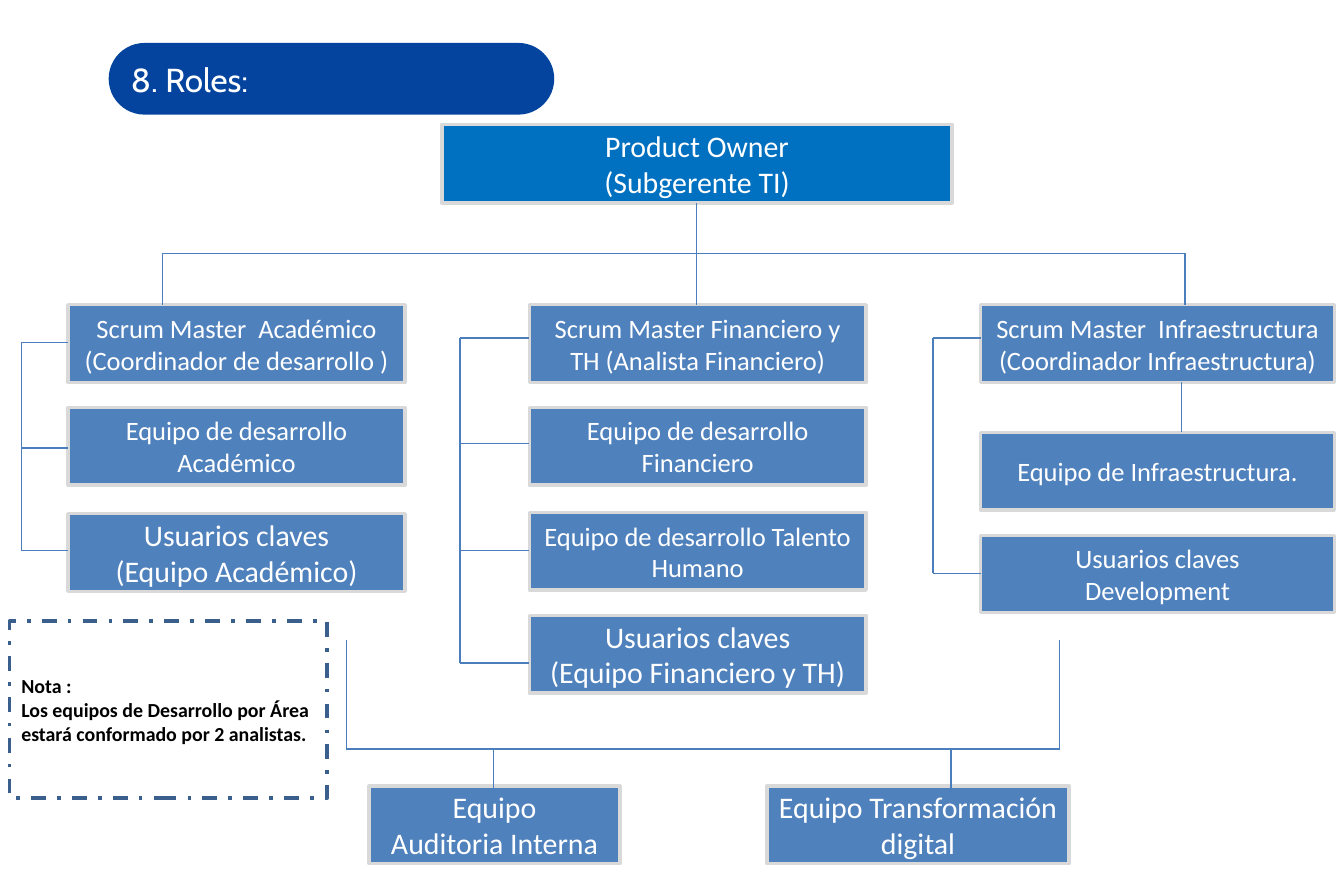
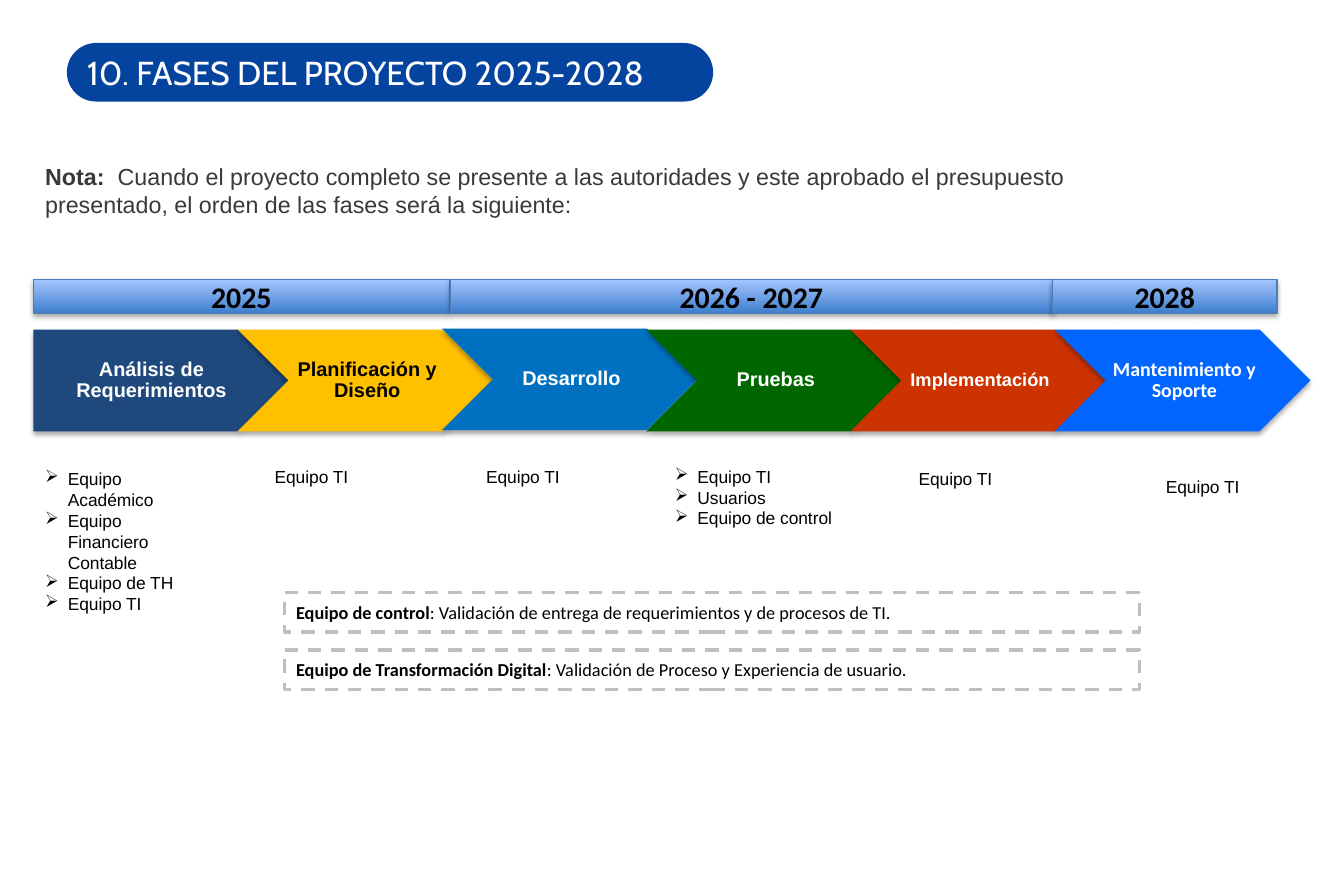
import pptx
import pptx.util
import pptx.dml.color
import pptx.enum.dml
import pptx.enum.shapes
import pptx.enum.text
import pptx.oxml
import pptx.oxml.ns

PX = 9144  # 100 px to the inch
COLORS = {
    "title": "04449E", "owner": "0070C0", "role": "4F81BD", "border": "D9D9D9",
    "link": "4B7EBC", "note": "3A5F8C", "dash": "BFBFBF", "white": "FFFFFF",
    "black": "000000", "gray": "3A3838", "year_low": "3F80CE", "year_high": "A4C4FF",
    "analysis": "1F497D", "planning": "FFC000", "build": "0070C0",
    "testing": "006600", "rollout": "CC3300", "support": "0066FF",
}
SHAPE = pptx.enum.shapes.MSO_SHAPE
ALIGN = pptx.enum.text.PP_ALIGN
DASH = pptx.enum.dml.MSO_LINE
qn = pptx.oxml.ns.qn
SHADOW = (
    '<a:outerShdw xmlns:a="http://schemas.openxmlformats.org/drawingml/2006/main" '
    'blurRad="40000" dist="23000" dir="{angle}" rotWithShape="0">'
    '<a:srgbClr val="000000"><a:alpha val="{alpha}"/></a:srgbClr></a:outerShdw>'
)

# Formats shared by the slides
TITLE = {"kind": SHAPE.ROUNDED_RECTANGLE, "fill": "title", "size": 20, "font": "Cabin",
         "color": "white", "text_shadow": True}
ROLE = {"kind": SHAPE.RECTANGLE, "fill": "role", "line": ("border", 2, None),
        "color": "white", "align": ALIGN.CENTER}
PLAIN = {"font": "Arial", "color": "black", "size": 10.5}
YEAR = {"kind": SHAPE.RECTANGLE, "gradient": ("year_low", "year_high"), "shadow": True,
        "line": ("link", 0.75, None), "size": 18, "bold": True, "align": ALIGN.CENTER}
PHASE = {"shadow": True, "font": "Arial", "size": 12, "bold": True, "color": "white",
         "align": ALIGN.CENTER, "spacing": 0.9, "insets": (5, 4, 2, 4)}
TEAM_NOTE = {"kind": SHAPE.RECTANGLE, "line": ("dash", 2, DASH.DASH), "size": 11}


def add_box(page, place, paras, form):
    """Adds a shape or text box; a tuple paragraph has a bold first part."""
    left, top, width, height = [n * PX for n in place]
    kind = form.get("kind")
    if kind is None:
        box = page.shapes.add_textbox(left, top, width, height)
    else:
        box = page.shapes.add_shape(kind, left, top, width, height)
        box.shadow.inherit = False
        if kind == SHAPE.ROUNDED_RECTANGLE:
            box.adjustments[0] = 0.5
        if "gradient" in form:
            box.fill.gradient()
            box.fill.gradient_angle = 90
            for stop, name in zip(box.fill.gradient_stops, form["gradient"]):
                stop.color.rgb = pptx.dml.color.RGBColor.from_string(COLORS[name])
        elif "fill" in form:
            box.fill.solid()
            box.fill.fore_color.rgb = pptx.dml.color.RGBColor.from_string(COLORS[form["fill"]])
        else:
            box.fill.background()
        if "line" in form:
            name, weight, dash = form["line"]
            box.line.color.rgb = pptx.dml.color.RGBColor.from_string(COLORS[name])
            box.line.width = pptx.util.Pt(weight)
            box.line.dash_style = dash
        else:
            box.line.fill.background()
        if form.get("shadow"):
            effects = box._element.spPr.find(qn("a:effectLst"))
            effects.append(pptx.oxml.parse_xml(SHADOW.format(angle=5400000, alpha=35000)))

    frame = box.text_frame
    anchor = pptx.enum.text.MSO_ANCHOR
    frame_values = {"word_wrap": True,
                    "vertical_anchor": anchor.MIDDLE if kind else anchor.TOP}
    for side, inset in zip(("left", "top", "right", "bottom"),
                           form.get("insets", (10, 5, 10, 5))):
        frame_values["margin_" + side] = inset * PX
    for name, value in frame_values.items():
        setattr(frame, name, value)

    font_values = {"name": form.get("font", "Calibri"),
                   "size": pptx.util.Pt(form["size"]), "bold": form.get("bold", False)}
    for index, parts in enumerate(paras):
        para = frame.paragraphs[0] if index == 0 else frame.add_paragraph()
        para.alignment = form.get("align", ALIGN.LEFT)
        para.line_spacing = form.get("spacing")
        if form.get("bullet"):
            properties = para._p.get_or_add_pPr()
            properties.set("marL", str(19 * PX))
            properties.set("indent", str(-19 * PX))
            bullet = properties.makeelement(qn("a:buChar"), {"char": "➢"})
            properties.append(bullet)
        mixed = isinstance(parts, tuple)
        for order, words in enumerate(parts if mixed else (parts,)):
            span = para.add_run()
            span.text = words
            for name, value in font_values.items():
                setattr(span.font, name, value)
            if mixed:
                span.font.bold = order == 0
            span.font.color.rgb = pptx.dml.color.RGBColor.from_string(
                COLORS[form.get("color", "black")])
            if form.get("text_shadow"):
                run_properties = span.font._element
                effects = run_properties.makeelement(qn("a:effectLst"), {})
                effects.append(pptx.oxml.parse_xml(SHADOW.format(angle=2700000, alpha=80000)))
                run_properties.find(qn("a:solidFill")).addnext(effects)


def add_link(page, x1, y1, x2, y2):
    """Adds a thin chart line without a shadow."""
    link = page.shapes.add_connector(pptx.enum.shapes.MSO_CONNECTOR.STRAIGHT,
                                     x1 * PX, y1 * PX, x2 * PX, y2 * PX)
    link.line.color.rgb = pptx.dml.color.RGBColor.from_string(COLORS["link"])
    link.line.width = pptx.util.Pt(0.75)
    properties = link._element.spPr
    properties.append(properties.makeelement(qn("a:effectLst"), {}))


deck = pptx.Presentation()
deck.slide_width = 1125 * PX
deck.slide_height = 750 * PX
blank = deck.slide_layouts[6]

# Roles: title and product owner
page = deck.slides.add_slide(blank)
add_box(page, (91, 36, 373, 60), ["8. Roles:"], TITLE)
add_box(page, (370, 104, 427, 66), ["Product Owner", "(Subgerente TI)"],
        ROLE | {"fill": "owner", "size": 18})

# Roles: three columns of teams, each as top, text size, paragraphs
columns = [
    (57, 282, [
        (255, 16, ["Scrum Master  Académico (Coordinador de desarrollo )"]),
        (341, 16, ["Equipo de desarrollo Académico"]),
        (430, 18, ["Usuarios claves", "(Equipo Académico)"]),
    ]),
    (443, 282, [
        (255, 16, ["Scrum Master Financiero y TH (Analista Financiero)"]),
        (341, 16, ["Equipo de desarrollo Financiero"]),
        (429, 16, ["Equipo de desarrollo Talento Humano"]),
        (515, 18, ["Usuarios claves", "(Equipo Financiero y TH)"]),
    ]),
    (821, 296, [
        (255, 16, ["Scrum Master  Infraestructura (Coordinador Infraestructura)"]),
        (362, 16, ["Equipo de Infraestructura."]),
        (448, 16, ["Usuarios claves", "Development"]),
    ]),
    (309, 210, [(658, 18, ["Equipo", "Auditoria Interna"])]),
    (642, 253, [(658, 18, ["Equipo Transformación digital"])]),
]
for left, width, teams in columns:
    for top, size, paras in teams:
        add_box(page, (left, top, width, 65), paras, ROLE | {"size": size})

# Roles: bus under the product owner
add_link(page, 583, 170, 583, 212)
add_link(page, 136, 212, 992, 212)
for x in (136, 583, 992):
    add_link(page, x, 212, x, 255)
add_link(page, 989, 320, 989, 362)

# Roles: side brackets
for trunk, edge, levels in [(18, 57, (287, 375, 461)),
                            (385, 443, (283, 371, 461, 555)),
                            (781, 821, (283, 480))]:
    add_link(page, trunk, levels[0], trunk, levels[-1])
    for y in levels:
        add_link(page, trunk, y, edge, y)

# Roles: lower bus
add_link(page, 290, 627, 887, 627)
for x in (290, 887):
    add_link(page, x, 536, x, 627)
for x in (413, 796):
    add_link(page, x, 627, x, 663)

add_box(page, (8, 520, 266, 148),
        ["Nota :", "Los equipos de Desarrollo por Área", "estará conformado por 2 analistas."],
        {"kind": SHAPE.RECTANGLE, "line": ("note", 2.25, DASH.DASH_DOT), "size": 12,
         "bold": True, "align": ALIGN.JUSTIFY})

# Phases: title and introduction
page = deck.slides.add_slide(blank)
add_box(page, (56, 36, 541, 49), ["10. FASES DEL PROYECTO 2025-2028"], TITLE)
add_box(page, (28, 131, 906, 57),
        [("Nota:  ", "Cuando el proyecto completo se presente a las autoridades y este "
          "aprobado el presupuesto presentado, el orden de las fases será la siguiente:")],
        PLAIN | {"size": 14, "color": "gray"})

# Phases: year bands
for left, width, years in [(28, 348, "2025"), (377, 504, "2026 - 2027"), (881, 188, "2028")]:
    add_box(page, (left, 234, width, 28), [years], YEAR)

# Phases: arrows at equal steps
phases = [
    ("Análisis de Requerimientos", "analysis",
     {"kind": SHAPE.PENTAGON, "insets": (7, 4, 2, 4)}),
    ("Planificación y Diseño", "planning", {"color": "black"}),
    ("Desarrollo", "build", {}),
    ("Pruebas", "testing", {}),
    ("Implementación", "rollout", {"size": 11}),
    ("Mantenimiento y Soporte", "support", {"font": "Calibri"}),
]
for index, (label, fill, extra) in enumerate(phases):
    top = 275 if label == "Desarrollo" else 276
    add_box(page, (28 + 171 * index, top, 214, 85), [label],
            PHASE | {"kind": SHAPE.CHEVRON, "fill": fill} | extra)

# Phases: teams under the arrows
for place, teams in [
    ((28, 387, 153, 134), ["Equipo Académico", "Equipo Financiero Contable",
                           "Equipo de TH", "Equipo TI"]),
    ((220, 385, 111, 28), ["Equipo TI"]),
    ((397, 385, 111, 28), ["Equipo TI"]),
    ((555, 385, 174, 81), ["Equipo TI", "Usuarios", "Equipo de control"]),
    ((759, 387, 111, 28), ["Equipo TI"]),
    ((966, 394, 111, 28), ["Equipo TI"]),
]:
    add_box(page, place, teams, PLAIN | {"bullet": len(teams) > 1})

# Phases: team notes
for top, note in [
    (496, ("Equipo de control",
           ": Validación de entrega de requerimientos y de procesos de TI.")),
    (544, ("Equipo de Transformación Digital",
           ": Validación de Proceso y Experiencia de usuario.")),
]:
    add_box(page, (238, top, 716, 33), [note], TEAM_NOTE)

deck.save("out.pptx")
